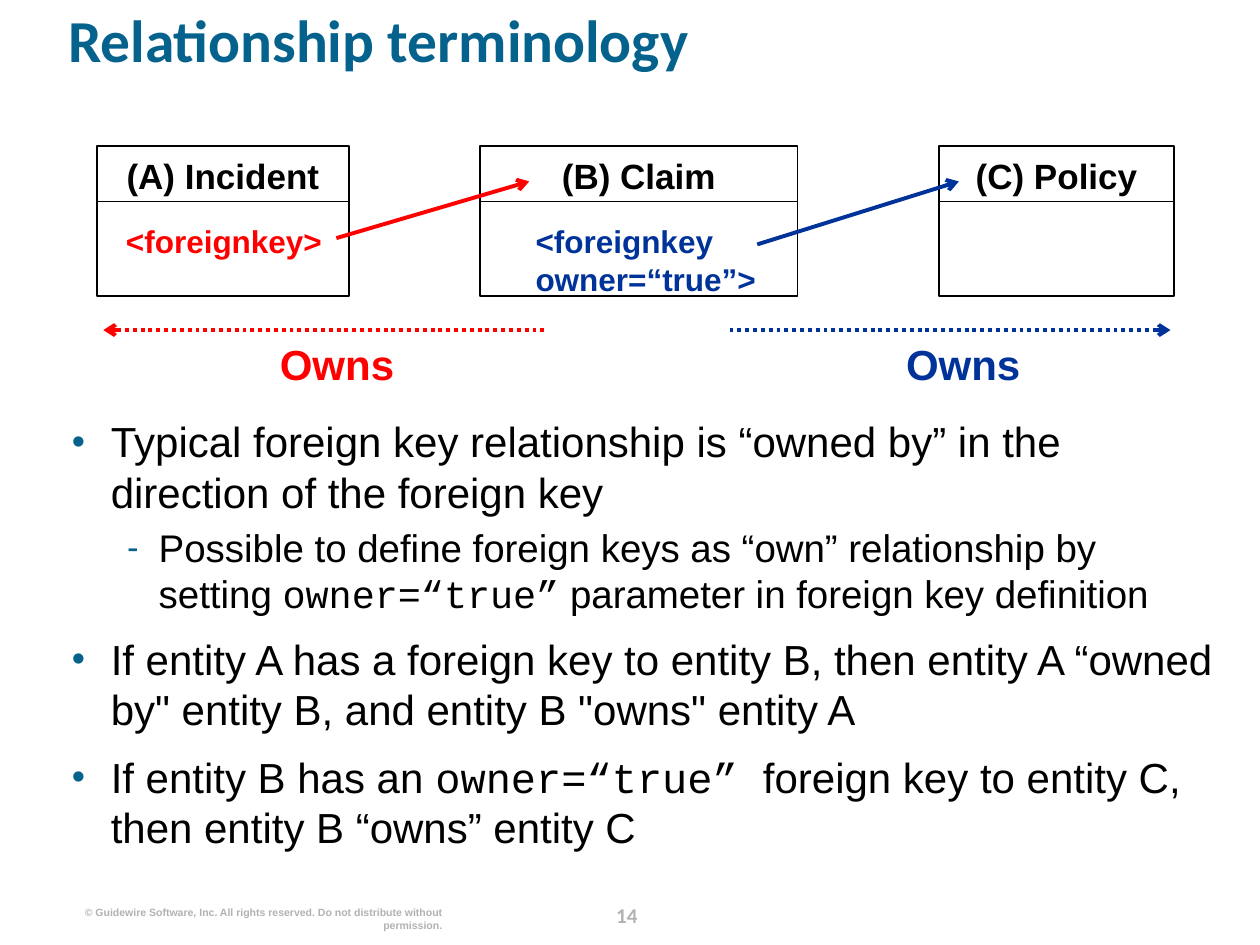
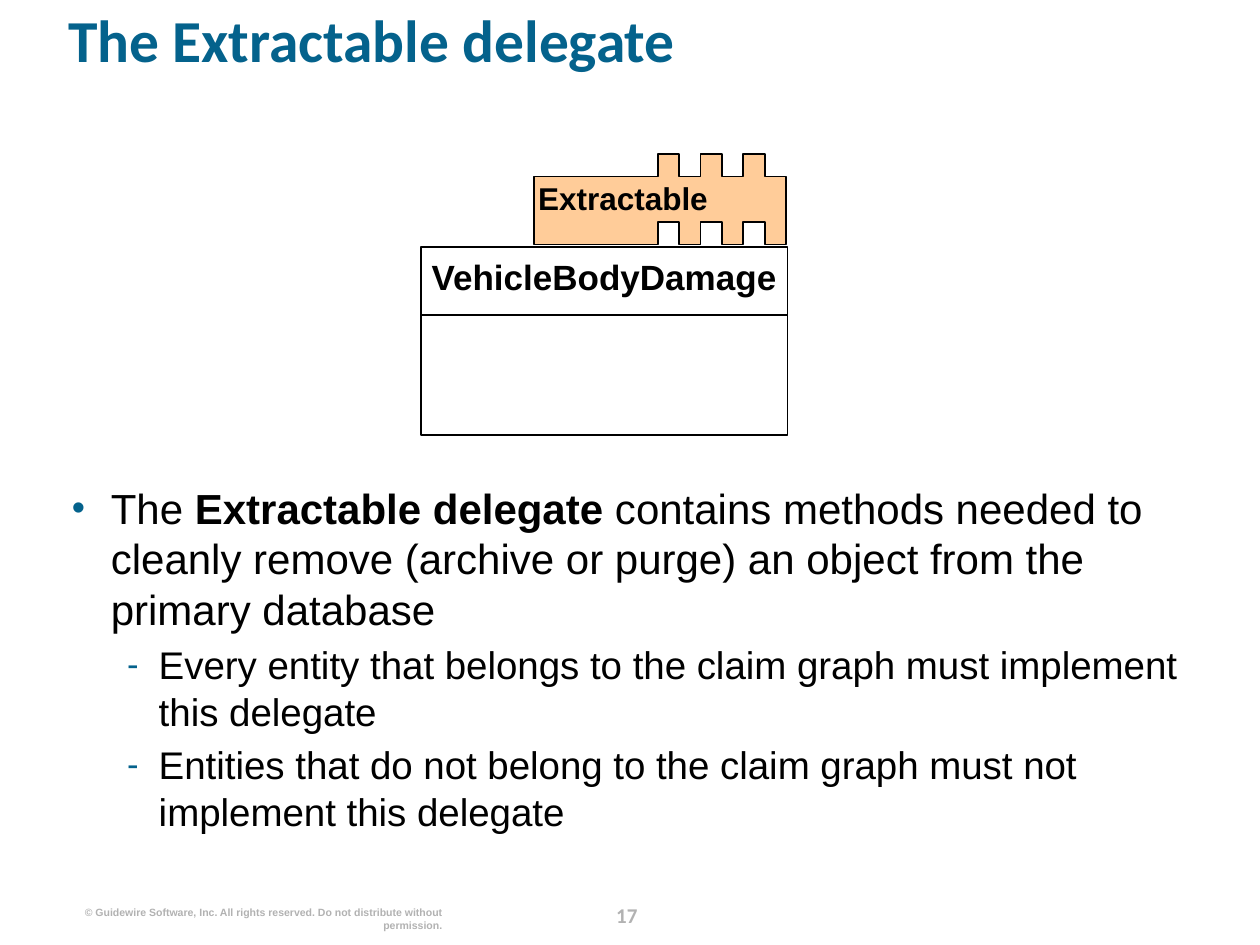
from dataclasses import dataclass

from lxml import etree
from pptx import Presentation
from pptx.dml.color import RGBColor
from pptx.enum.dml import MSO_LINE
from pptx.enum.shapes import MSO_CONNECTOR, MSO_SHAPE
from pptx.enum.text import MSO_ANCHOR, MSO_AUTO_SIZE, PP_ALIGN
from pptx.oxml.ns import qn
from pptx.util import Inches, Pt

LEFT, MID, RIGHT = PP_ALIGN.LEFT, PP_ALIGN.CENTER, PP_ALIGN.RIGHT
TOP = MSO_ANCHOR.TOP
FIXED = MSO_AUTO_SIZE.NONE
RECT = MSO_SHAPE.RECTANGLE
LINE = MSO_CONNECTOR.STRAIGHT
DOTS = MSO_LINE.ROUND_DOT
TITLE_ONLY = 5


@dataclass(frozen=True)
class Theme:
    teal: str = "04628C"
    ink: str = "000000"
    paper: str = "FFFFFF"
    grey: str = "B2B2B2"
    red: str = "FF0000"
    blue: str = "003399"
    peach: str = "FFCC99"
    head: str = "Calibri"
    sans: str = "Arial"
    mono: str = "Courier New"
    title: float = 34
    main: float = 24
    sub: float = 22
    name: float = 20
    code: float = 18
    page: float = 12
    legal: float = 6
    thin: float = 1
    thick: float = 2.25


THEME = Theme()
LEGAL = "© Guidewire Software, Inc. All rights reserved. Do not distribute without permission."


@dataclass(frozen=True)
class Box:
    left: float
    top: float
    width: float
    height: float

    def emu(self) -> tuple:
        return tuple(Inches(v) for v in (self.left, self.top, self.width, self.height))


@dataclass(frozen=True)
class Span:
    text: str
    font: str = THEME.sans
    bold: bool = False


@dataclass(frozen=True)
class Level:
    mark: str
    size: float
    left: float
    hang: float
    gap: float


@dataclass(frozen=True)
class Point:
    level: Level
    spans: tuple


@dataclass(frozen=True)
class Entity:
    name: str
    box: Box
    split: float


@dataclass(frozen=True)
class Arrow:
    start: tuple
    end: tuple
    color: str
    dash: bool = False


@dataclass(frozen=True)
class Label:
    text: str
    box: Box
    size: float
    color: str
    align: int = LEFT


MAIN = Level("•", THEME.main, 0.31, 0.31, 0.4)
SUB = Level("-", THEME.sub, 0.69, 0.25, 0.2)


def write(para, text: str, *, size: float, color: str = THEME.ink,
          font: str = THEME.sans, bold: bool = True) -> None:
    for i, row in enumerate(text.split("\n")):
        if i:
            para.add_line_break()
        run = para.add_run()
        run.text = row
        run.font.size = Pt(size)
        run.font.name = font
        run.font.bold = bold
        run.font.color.rgb = RGBColor.from_string(color)


def prep(frame) -> None:
    frame.word_wrap = True
    frame.auto_size = FIXED
    frame.vertical_anchor = TOP
    frame.margin_left = frame.margin_right = 0
    frame.margin_top = frame.margin_bottom = 0


def add_box(slide, box: Box):
    frame = slide.shapes.add_textbox(*box.emu()).text_frame
    prep(frame)
    return frame


def add_label(slide, label: Label, **style) -> None:
    para = add_box(slide, label.box).paragraphs[0]
    para.alignment = label.align
    write(para, label.text, size=label.size, color=label.color, **style)


def paint(shape, fill: str) -> None:
    shape.shadow.inherit = False
    shape.fill.solid()
    shape.fill.fore_color.rgb = RGBColor.from_string(fill)
    shape.line.color.rgb = RGBColor.from_string(THEME.ink)
    shape.line.width = Pt(THEME.thin)


def add_line(slide, start: tuple, end: tuple, color: str, width: float):
    line = slide.shapes.add_connector(LINE, *(Inches(v) for v in start + end))
    line.line.color.rgb = RGBColor.from_string(color)
    line.line.width = Pt(width)
    etree.SubElement(line.element.spPr, qn("a:effectLst"))
    return line


def add_arrow(slide, arrow: Arrow) -> None:
    line = add_line(slide, arrow.start, arrow.end, arrow.color, THEME.thick)
    if arrow.dash:
        line.line.dash_style = DOTS
    stroke = line.element.spPr.find(qn("a:ln"))
    etree.SubElement(stroke, qn("a:tailEnd"), type="arrow")


def add_entity(slide, entity: Entity) -> None:
    box = entity.box
    paint(slide.shapes.add_shape(RECT, *box.emu()), THEME.paper)
    level = box.top + entity.split
    add_line(slide, (box.left + box.width, level), (box.left, level), THEME.ink, THEME.thin)
    inner = Box(box.left + 0.03, box.top + 0.07, box.width - 0.06, 0.33)
    add_label(slide, Label(entity.name, inner, THEME.name, THEME.ink, MID))


def add_mark(para, level: Level) -> None:
    props = para._p.get_or_add_pPr()
    props.set("marL", str(Inches(level.left)))
    props.set("indent", str(-Inches(level.hang)))
    tint = etree.SubElement(props, qn("a:buClr"))
    etree.SubElement(tint, qn("a:srgbClr"), val=THEME.teal)
    etree.SubElement(props, qn("a:buSzPct"), val="90000")
    etree.SubElement(props, qn("a:buFont"), typeface=THEME.sans)
    etree.SubElement(props, qn("a:buChar"), char=level.mark)


def add_body(slide, box: Box, points: tuple) -> None:
    frame = add_box(slide, box)
    for i, point in enumerate(points):
        para = frame.add_paragraph() if i else frame.paragraphs[0]
        level = point.level
        add_mark(para, level)
        if i:
            para.space_before = Pt(round(level.size * level.gap, 1))
        for span in point.spans:
            write(para, span.text, size=level.size, font=span.font, bold=span.bold)


def add_slide(deck, title: str, page: int):
    slide = deck.slides.add_slide(deck.slide_layouts[TITLE_ONLY])
    head = slide.shapes.title
    head.left, head.top, head.width, head.height = Box(0.54, 0.13, 9.1, 0.81).emu()
    prep(head.text_frame)
    para = head.text_frame.paragraphs[0]
    para.alignment = LEFT
    para.line_spacing = 0.8
    write(para, title, size=THEME.title, color=THEME.teal, font=THEME.head)
    add_label(slide, Label(str(page), Box(4.69, 7.16, 0.57, 0.25), THEME.page, THEME.grey, MID),
              font=THEME.head)
    add_label(slide, Label(LEGAL, Box(0.61, 7.19, 2.9, 0.2), THEME.legal, THEME.grey, RIGHT))
    return slide


def add_terms(deck) -> None:
    slide = add_slide(deck, "Relationship terminology", 14)
    add_body(slide, Box(0.57, 3.3, 9.1, 3.7), (
        Point(MAIN, (Span("Typical foreign key relationship is “owned by” in the "
                          "direction of the foreign key"),)),
        Point(SUB, (Span("Possible to define foreign keys as “own” relationship by setting "),
                    Span("owner=“true”", THEME.mono),
                    Span(" parameter in foreign key definition"))),
        Point(MAIN, (Span("If entity A has a foreign key to entity B, then entity A “owned "
                          "by\" entity B, and entity B \"owns\" entity A"),)),
        Point(MAIN, (Span("If entity B has an "),
                     Span("owner=“true” ", THEME.mono),
                     Span("foreign key to entity C, then entity B “owns” entity C"))),
    ))
    for name, left, width in (("(A) Incident", 0.77, 2), ("(B) Claim", 3.81, 2.52),
                              ("(C) Policy", 7.45, 1.87)):
        add_entity(slide, Entity(name, Box(left, 1.16, width, 1.19), 0.44))
    for label in (
        Label("<foreignkey>", Box(1, 1.76, 1.76, 0.3), THEME.code, THEME.red),
        Label("<foreignkey\nowner=“true”>", Box(4.25, 1.76, 1.95, 0.61), THEME.code, THEME.blue),
        Label("Owns", Box(1.76, 2.69, 1.83, 0.4), THEME.main, THEME.red, MID),
        Label("Owns", Box(6.73, 2.69, 1.83, 0.4), THEME.main, THEME.blue, MID),
    ):
        add_label(slide, label)
    for arrow in (
        Arrow((2.67, 1.89), (4.2, 1.44), THEME.red),
        Arrow((4.32, 2.62), (0.82, 2.62), THEME.red, True),
        Arrow((6.01, 1.94), (7.61, 1.44), THEME.blue),
        Arrow((5.79, 2.62), (9.29, 2.62), THEME.blue, True),
    ):
        add_arrow(slide, arrow)


def add_comb(slide, left: float, first: float, tooth: float, count: int) -> None:
    tip, top, notch, base = 1.22, 1.4, 1.76, 1.94
    upper, lower = [], []
    for i in range(count):
        start = first + 2 * i * tooth
        end = start + tooth
        upper += [(start, top), (start, tip), (end, tip), (end, top)]
        lower += [(start, base), (start, notch), (end, notch), (end, base)]
    right = first + 2 * count * tooth
    edge = upper + [(right, top), (right, base)] + lower[::-1] + [(left, base)]
    form = slide.shapes.build_freeform(Inches(left), Inches(top), scale=1.0)
    form.add_line_segments([(Inches(x), Inches(y)) for x, y in edge], close=True)
    paint(form.convert_to_shape(), THEME.peach)


def add_trait(deck) -> None:
    slide = add_slide(deck, "The Extractable delegate", 17)
    add_body(slide, Box(0.57, 3.83, 9.1, 3.16), (
        Point(MAIN, (Span("The "), Span("Extractable delegate", bold=True),
                     Span(" contains methods needed to cleanly remove (archive or purge) "
                          "an object from the primary database"))),
        Point(SUB, (Span("Every entity that belongs to the claim graph must implement "
                         "this delegate"),)),
        Point(SUB, (Span("Entities that do not belong to the claim graph must not "
                         "implement this delegate"),)),
    ))
    add_entity(slide, Entity("VehicleBodyDamage", Box(3.34, 1.96, 2.91, 1.49), 0.54))
    add_comb(slide, left=4.24, first=5.22, tooth=0.17, count=3)
    add_label(slide, Label("Extractable", Box(4.27, 1.42, 1.79, 0.3), THEME.code, THEME.ink))


def main() -> None:
    deck = Presentation()
    deck.slide_width, deck.slide_height = Inches(10), Inches(7.5)
    add_terms(deck)
    add_trait(deck)
    deck.save("out.pptx")


if __name__ == "__main__":
    main()
